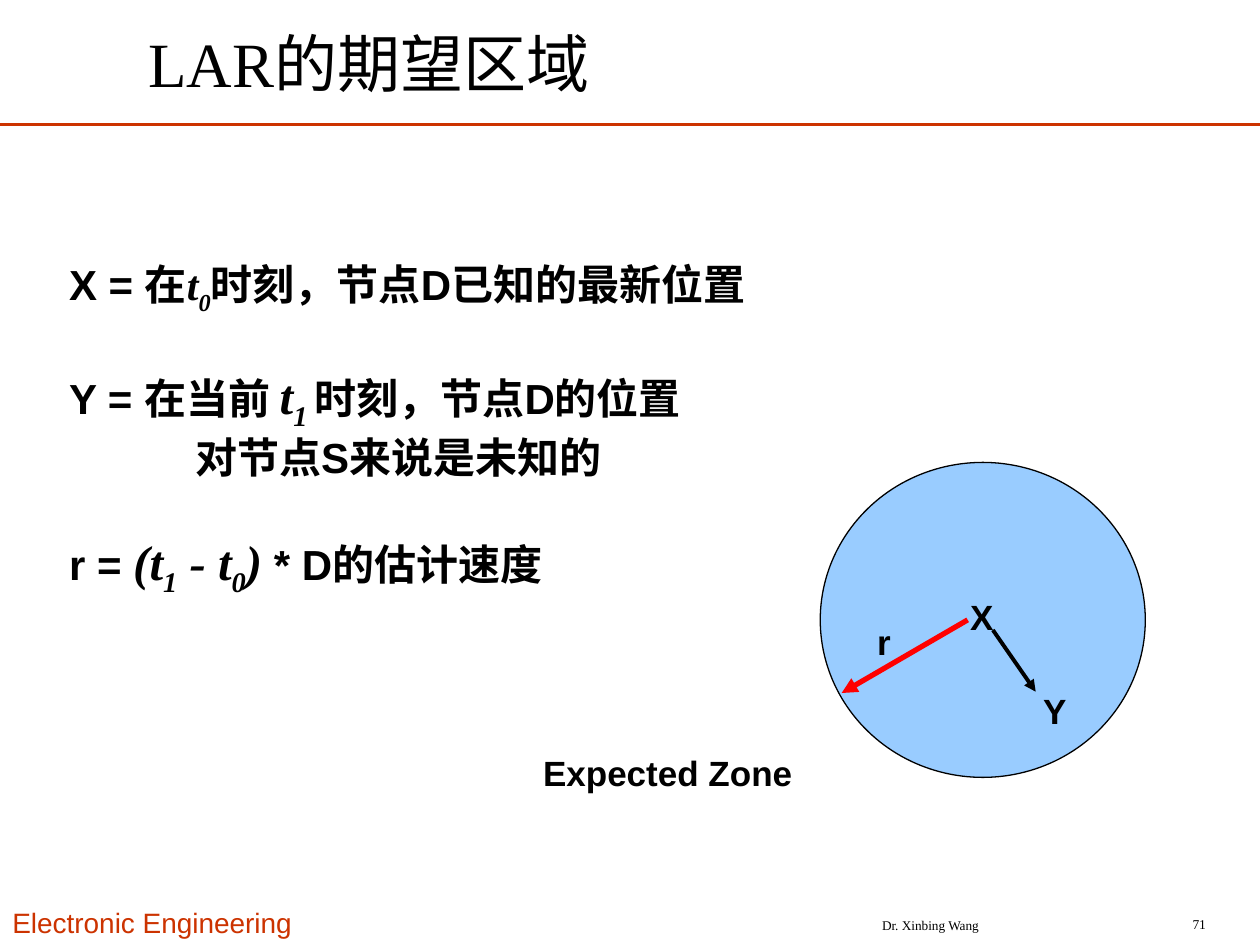
from pptx import Presentation
from pptx.dml.color import RGBColor
from pptx.enum.shapes import MSO_CONNECTOR, MSO_SHAPE
from pptx.enum.text import MSO_ANCHOR, MSO_AUTO_SIZE, PP_ALIGN
from pptx.oxml.ns import qn
from pptx.util import Inches, Pt
from lxml.etree import SubElement

THEME = {
    "accent": "CC3300", "ink": "000000", "zone": "99CCFF", "radius": "FF0000",
    "sans": "Arial", "serif": "Times New Roman",
    "title": 36, "variable": 28, "body": 24, "label": 20, "brand": 16,
    "number": 7.7, "footer": 7.6, "gap": 28,
}

SYMBOL = {"font": THEME["serif"], "italic": True}
SUBSCRIPT = {**SYMBOL, "baseline": -25000}
LARGE_SYMBOL = {**SYMBOL, "size": THEME["variable"]}
LARGE_SUBSCRIPT = {**SUBSCRIPT, "size": THEME["variable"]}

DEFINITIONS = [
    [("X = 在", {}), ("t", SYMBOL), ("0", SUBSCRIPT), ("时刻，节点D已知的最新位置", {})],
    [("Y = 在当前 ", {}), ("t", LARGE_SYMBOL), ("1 ", LARGE_SUBSCRIPT),
     ("时刻，节点D的位置", {})],
    [("\t对节点S来说是未知的", {})],
    [("r = ", {}), ("(t", LARGE_SYMBOL), ("1", LARGE_SUBSCRIPT), (" - t", LARGE_SYMBOL),
     ("0", LARGE_SUBSCRIPT), (")", LARGE_SYMBOL), (" * D的估计速度", {})],
]
DEFINITION_GAPS = [0, THEME["gap"], 0, THEME["gap"]]

LABELS = [
    ("X", (7.6, 4.67, 0.38, 0.44)),
    ("Y", (8.18, 5.42, 0.38, 0.44)),
    ("r", (6.86, 4.87, 0.31, 0.44)),
    ("Expected Zone", (4.21, 5.91, 2.18, 0.44)),
]

FRAME_TEXTS = [
    ("Electronic Engineering", (0, 7.14, 2.55, 0.37),
     {"size": THEME["brand"], "color": THEME["accent"], "anchor": MSO_ANCHOR.TOP}),
    ("Dr. Xinbing Wang", (6.17, 7.22, 2.43, 0.25),
     {"size": THEME["footer"], "font": THEME["serif"], "align": PP_ALIGN.CENTER}),
    ("71", (8.84, 7.21, 0.83, 0.25),
     {"size": THEME["number"], "font": THEME["serif"], "align": PP_ALIGN.RIGHT}),
    ("LAR的期望区域", (1.08, 0.15, 6.63, 0.69),
     {"size": THEME["title"], "font": THEME["serif"]}),
]

ZONE = (6.51, 3.67, 2.58, 2.5)
RULE = ((0, 0.99), (10, 0.99), THEME["accent"], 1.5)
ARROWS = [
    ((7.68, 4.92), (6.68, 5.5), THEME["radius"], 3),
    ((7.88, 5), (8.22, 5.49), THEME["ink"], 2.25),
]


def add_text(slide, text, box, size=THEME["body"], font=THEME["sans"], color=THEME["ink"],
             bold=False, align=PP_ALIGN.LEFT, anchor=MSO_ANCHOR.MIDDLE, wrap=True, gaps=(0,),
             tab=None):
    """Add a text box from a string or from paragraphs of formatted runs."""
    shape = slide.shapes.add_textbox(*map(Inches, box))
    frame = shape.text_frame
    frame.word_wrap = wrap
    frame.auto_size = MSO_AUTO_SIZE.NONE if wrap else MSO_AUTO_SIZE.SHAPE_TO_FIT_TEXT
    frame.vertical_anchor = anchor
    paragraphs = [[(text, {})]] if isinstance(text, str) else text
    for index, (runs, gap) in enumerate(zip(paragraphs, gaps)):
        paragraph = frame.add_paragraph() if index else frame.paragraphs[0]
        paragraph.alignment = align
        paragraph.space_before = Pt(gap)
        if tab:
            tabs = SubElement(paragraph._p.get_or_add_pPr(), qn("a:tabLst"))
            SubElement(tabs, qn("a:tab"), pos=str(Inches(tab)), algn="l")
        for words, style in runs:
            run = paragraph.add_run()
            run.text = words
            run.font.name = style.get("font", font)
            run.font.size = Pt(style.get("size", size))
            run.font.bold = bold
            run.font.italic = style.get("italic", False)
            run.font.color.rgb = RGBColor.from_string(color)
            if "baseline" in style:
                run._r.get_or_add_rPr().set("baseline", str(style["baseline"]))


def add_line(slide, start, end, color, width, arrow=False):
    """Add a straight line, with an arrowhead at its end if asked."""
    connector = slide.shapes.add_connector(
        MSO_CONNECTOR.STRAIGHT, *map(Inches, (*start, *end)))
    connector.line.color.rgb = RGBColor.from_string(color)
    connector.line.width = Pt(width)
    if arrow:
        SubElement(connector.line._get_or_add_ln(), qn("a:tailEnd"), type="triangle")
    SubElement(connector._element.spPr, qn("a:effectLst"))


def add_zone(slide):
    """Add the expected zone ellipse."""
    shape = slide.shapes.add_shape(MSO_SHAPE.OVAL, *map(Inches, ZONE))
    shape.shadow.inherit = False
    shape.fill.solid()
    shape.fill.fore_color.rgb = RGBColor.from_string(THEME["zone"])
    shape.line.color.rgb = RGBColor.from_string(THEME["ink"])
    shape.line.width = Pt(0.75)


def main():
    """Build and save the slide."""
    presentation = Presentation()
    presentation.slide_width, presentation.slide_height = Inches(10), Inches(7.5)
    slide = presentation.slides.add_slide(presentation.slide_layouts[6])
    add_line(slide, *RULE)
    for text, box, style in FRAME_TEXTS:
        add_text(slide, text, box, **style)
    add_zone(slide)
    for text, box in LABELS:
        add_text(slide, text, box, size=THEME["label"], bold=True,
                 align=PP_ALIGN.CENTER, wrap=False)
    add_text(slide, DEFINITIONS, (0.45, 1.99, 6.1, 2.82), bold=True,
             gaps=DEFINITION_GAPS, tab=1)
    for arrow in ARROWS:
        add_line(slide, *arrow, arrow=True)
    presentation.save("out.pptx")


if __name__ == "__main__":
    main()
